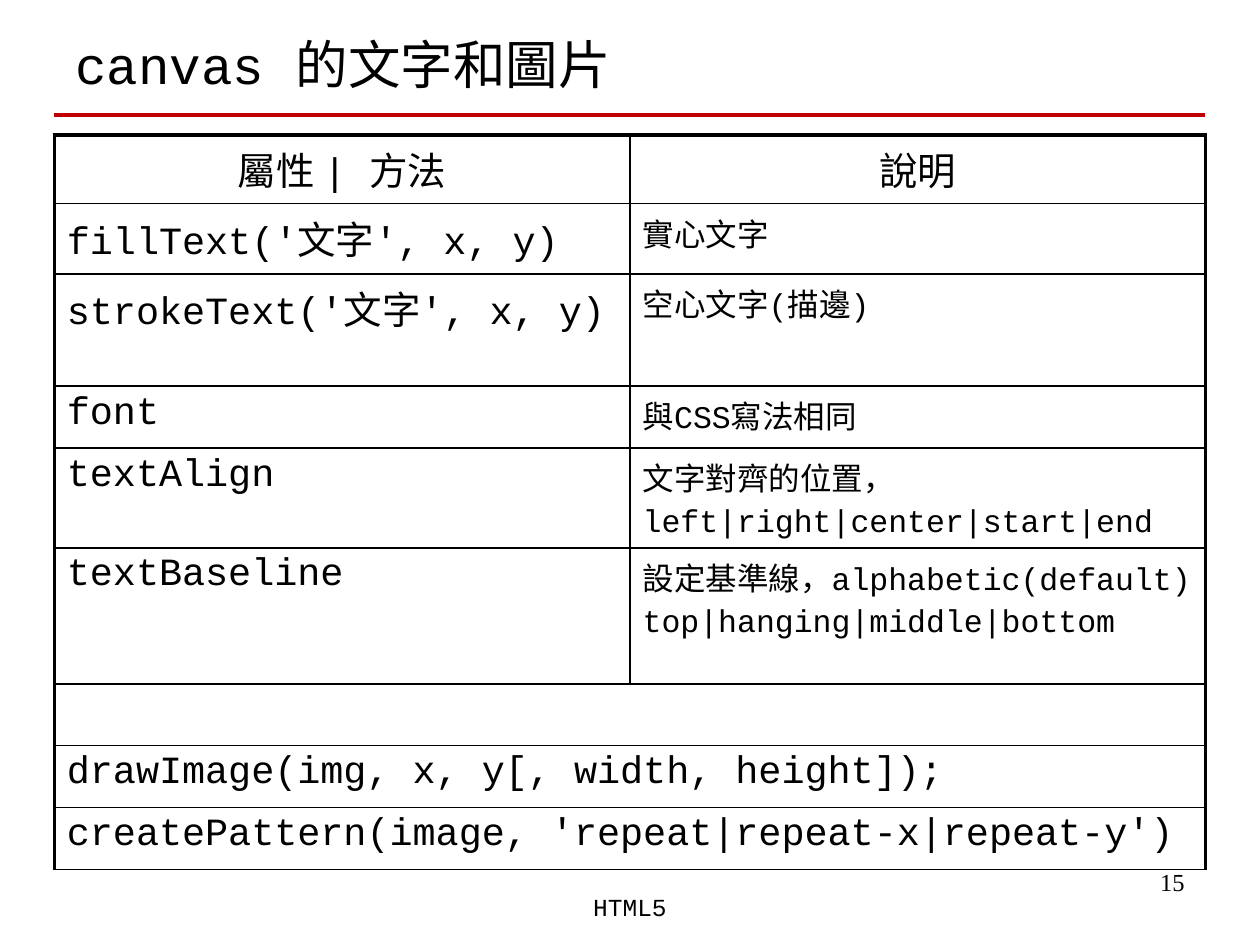
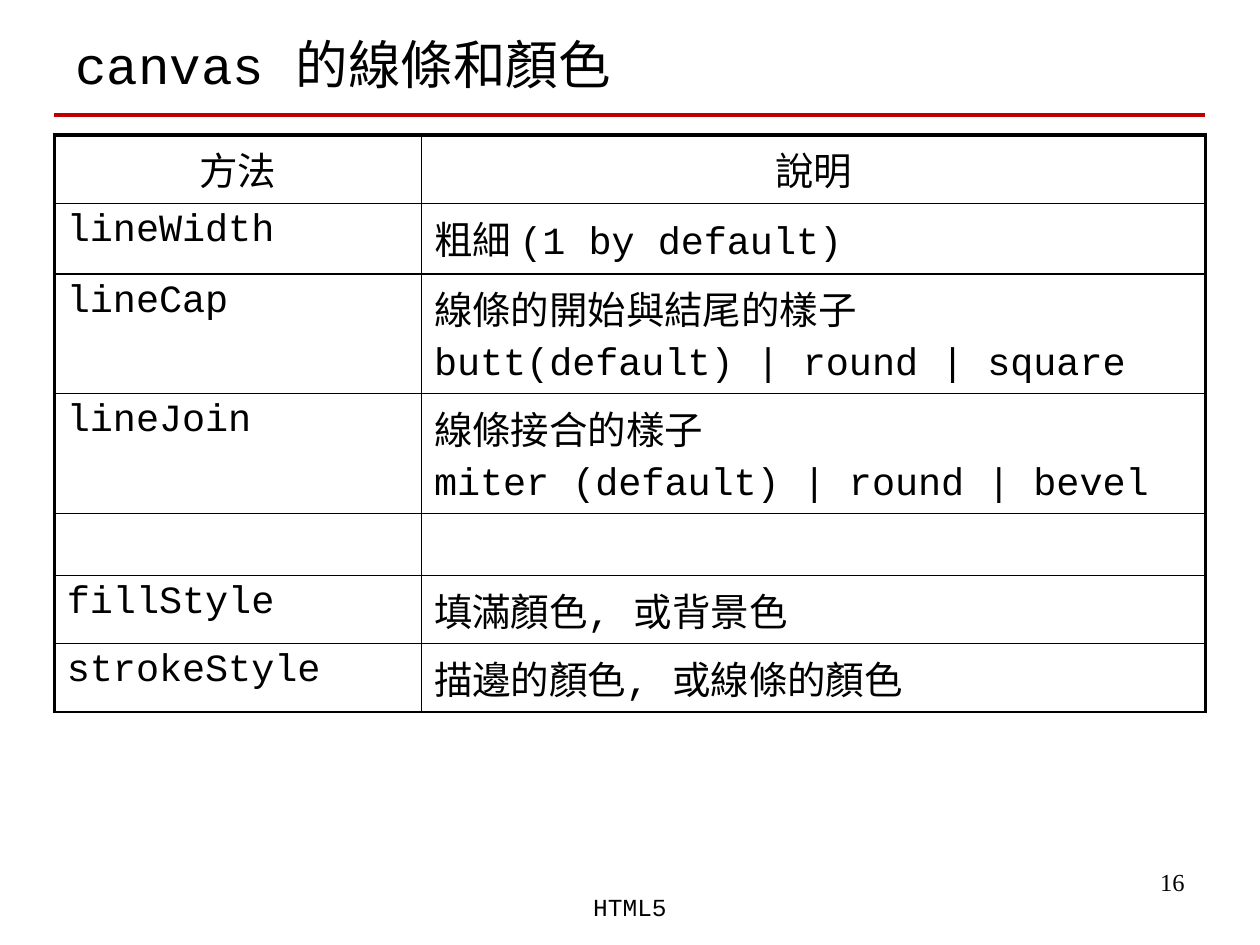
from lxml import etree
from pptx import Presentation
from pptx.dml.color import RGBColor
from pptx.enum.shapes import MSO_CONNECTOR
from pptx.enum.text import MSO_ANCHOR, PP_ALIGN
from pptx.oxml.ns import qn
from pptx.util import Pt

BLACK = RGBColor(0x00, 0x00, 0x00)
RED = RGBColor(0xC0, 0x00, 0x00)
CODE_FONT = "Courier New"
NUMBER_FONT = "Times New Roman"

# Boxes are left, top, width, height in points
TITLE_BOX = (36, 8.8, 648, 54.7)
RULE_BOX = (31, 65.6, 657.7, 0)
FOOTER_BOX = (246, 506, 228, 36)
NUMBER_BOX = (516, 492, 168, 37.4)
TABLE_LEFT, TABLE_TOP, TABLE_WIDTH = 31, 77.1, 658
CODE_SIZE = 22
THICK, THIN = 2.25, 1

# Row heights
CODE_ROW, CHINESE_ROW, MIXED_ROW = 35.4, 39.1, 40.4
WRAPPED_ROW, NOTE_ROW, LONG_NOTE_ROW, TWO_LINE_ROW = 64, 57.1, 77.7, 68.4

# A row with one entry spans the whole table; a line break starts a paragraph
TEXT_ROWS = [
    (CHINESE_ROW, ["屬性 | 方法", "說明"]),
    (MIXED_ROW, ["fillText('文字', x, y)", "實心文字"]),
    (WRAPPED_ROW, ["strokeText('文字', x, y)", "空心文字(描邊)"]),
    (CODE_ROW, ["font", "與CSS寫法相同"]),
    (NOTE_ROW, ["textAlign", "文字對齊的位置，\nleft|right|center|start|end"]),
    (LONG_NOTE_ROW, ["textBaseline",
                     "設定基準線，alphabetic(default)\ntop|hanging|middle|bottom"]),
    (CODE_ROW, [""]),
    (CODE_ROW, ["drawImage(img, x, y[, width, height]);"]),
    (CODE_ROW, ["createPattern(image, 'repeat|repeat-x|repeat-y')"]),
]
LINE_ROWS = [
    (CHINESE_ROW, ["方法", "說明"]),
    (MIXED_ROW, ["lineWidth", "粗細 (1 by default)"]),
    (TWO_LINE_ROW, ["lineCap",
                    "線條的開始與結尾的樣子\nbutt(default) | round | square"]),
    (TWO_LINE_ROW, ["lineJoin",
                    "線條接合的樣子\nmiter (default) | round | bevel"]),
    (CODE_ROW, ["", ""]),
    (CHINESE_ROW, ["fillStyle", "填滿顏色, 或背景色"]),
    (CHINESE_ROW, ["strokeStyle", "描邊的顏色, 或線條的顏色"]),
]


def write(tf, text, size, font=CODE_FONT, align=PP_ALIGN.LEFT):
    for i, line in enumerate(text.split("\n")):
        p = tf.add_paragraph() if i else tf.paragraphs[0]
        if line:
            p.add_run().text = line
        p.alignment = align
        p.space_before = Pt(size * 0.2 if i else 0)
        p.font.size = Pt(size)
        p.font.name = font
        p.font.color.rgb = BLACK


def add_text(s, box, text, size, font=CODE_FONT, align=PP_ALIGN.LEFT,
             anchor=MSO_ANCHOR.TOP):
    tf = s.shapes.add_textbox(*map(Pt, box)).text_frame
    tf.word_wrap = True
    tf.vertical_anchor = anchor
    write(tf, text, size, font, align)


def add_rule(s, box):
    x, y, w, h = box
    line = s.shapes.add_connector(MSO_CONNECTOR.STRAIGHT,
                                  Pt(x), Pt(y), Pt(x + w), Pt(y + h))
    line.line.color.rgb = RED
    line.line.width = Pt(THICK)
    etree.SubElement(line._element.spPr, qn("a:effectLst"))


def set_borders(cell, **widths):
    """Draw black borders; sides L, R, T and B come in that order."""
    tcPr = cell._tc.get_or_add_tcPr()
    for side, width in widths.items():
        ln = etree.SubElement(tcPr, qn(f"a:ln{side}"), w=str(Pt(width)))
        fill = etree.SubElement(ln, qn("a:solidFill"))
        etree.SubElement(fill, qn("a:srgbClr"), val=str(BLACK))


def add_reference_table(s, left, top, widths, rows, note_size):
    """Table of code entries on the left and their notes on the right."""
    heights = [height for height, _ in rows]
    table = s.shapes.add_table(len(rows), len(widths), Pt(left), Pt(top),
                               Pt(sum(widths)), Pt(sum(heights))).table
    table.first_row = table.horz_banding = False
    for column, width in zip(table.columns, widths):
        column.width = Pt(width)

    last = len(widths) - 1
    for r, (height, texts) in enumerate(rows):
        table.rows[r].height = Pt(height)
        merged = len(texts) == 1
        if merged:
            table.cell(r, 0).merge(table.cell(r, last))
        for c in range(len(widths)):
            cell = table.cell(r, c)
            set_borders(cell,
                        L=THIN if c else THICK,
                        R=THICK if merged or c == last else THIN,
                        T=THIN if r else THICK,
                        B=THIN)
            cell.fill.background()
        for c, text in enumerate(texts):
            write(table.cell(r, c).text_frame, text,
                  note_size if r and c else CODE_SIZE,
                  align=PP_ALIGN.LEFT if r else PP_ALIGN.CENTER)


def add_reference_slide(prs, number, title, code_width, rows, note_size):
    s = prs.slides.add_slide(prs.slide_layouts[6])
    add_text(s, NUMBER_BOX, str(number), 14, NUMBER_FONT, PP_ALIGN.RIGHT)
    add_text(s, TITLE_BOX, title, 30, anchor=MSO_ANCHOR.MIDDLE)
    add_rule(s, RULE_BOX)
    add_text(s, FOOTER_BOX, "HTML5", 14, align=PP_ALIGN.CENTER)
    add_reference_table(s, TABLE_LEFT, TABLE_TOP,
                        [code_width, TABLE_WIDTH - code_width], rows, note_size)


def main():
    prs = Presentation()
    prs.slide_width, prs.slide_height = Pt(720), Pt(540)
    add_reference_slide(prs, 15, "canvas 的文字和圖片",
                        TABLE_WIDTH / 2, TEXT_ROWS, 18)
    add_reference_slide(prs, 16, "canvas 的線條和顏色",
                        209.8, LINE_ROWS, CODE_SIZE)
    prs.save("out.pptx")


if __name__ == "__main__":
    main()
